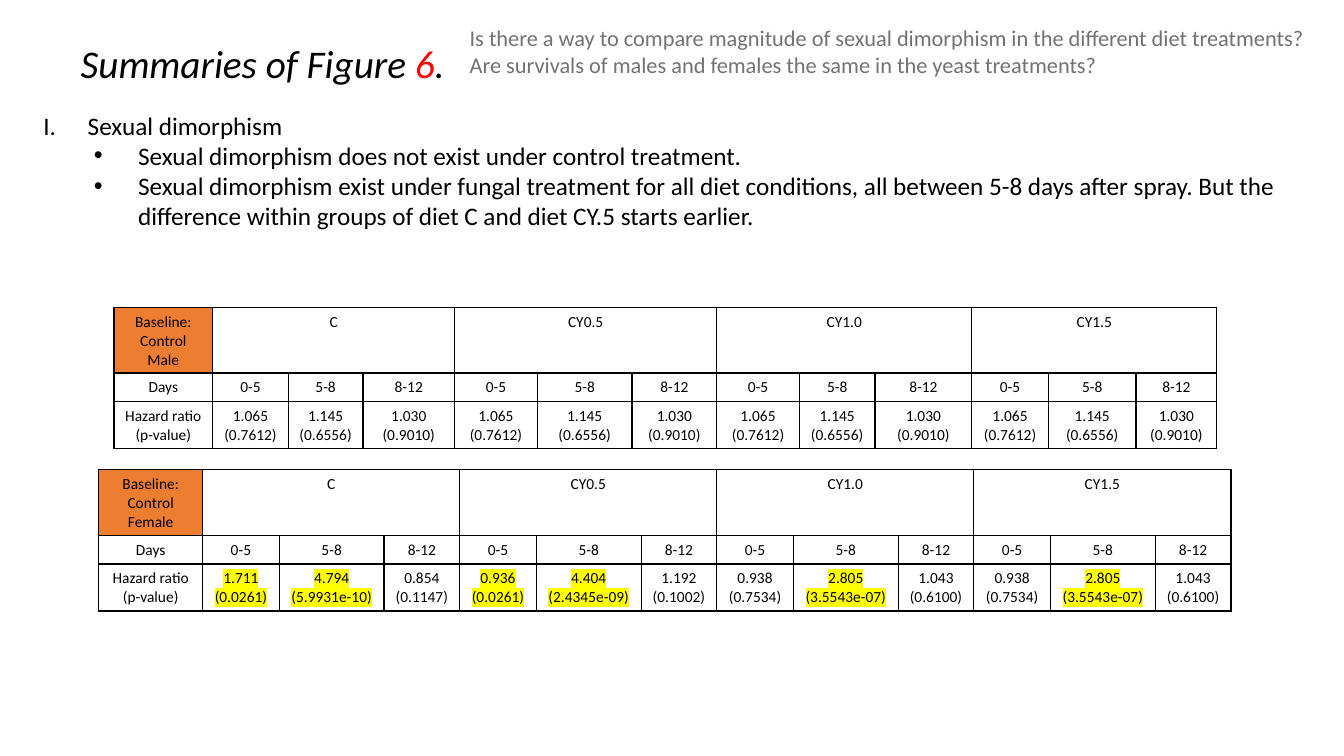
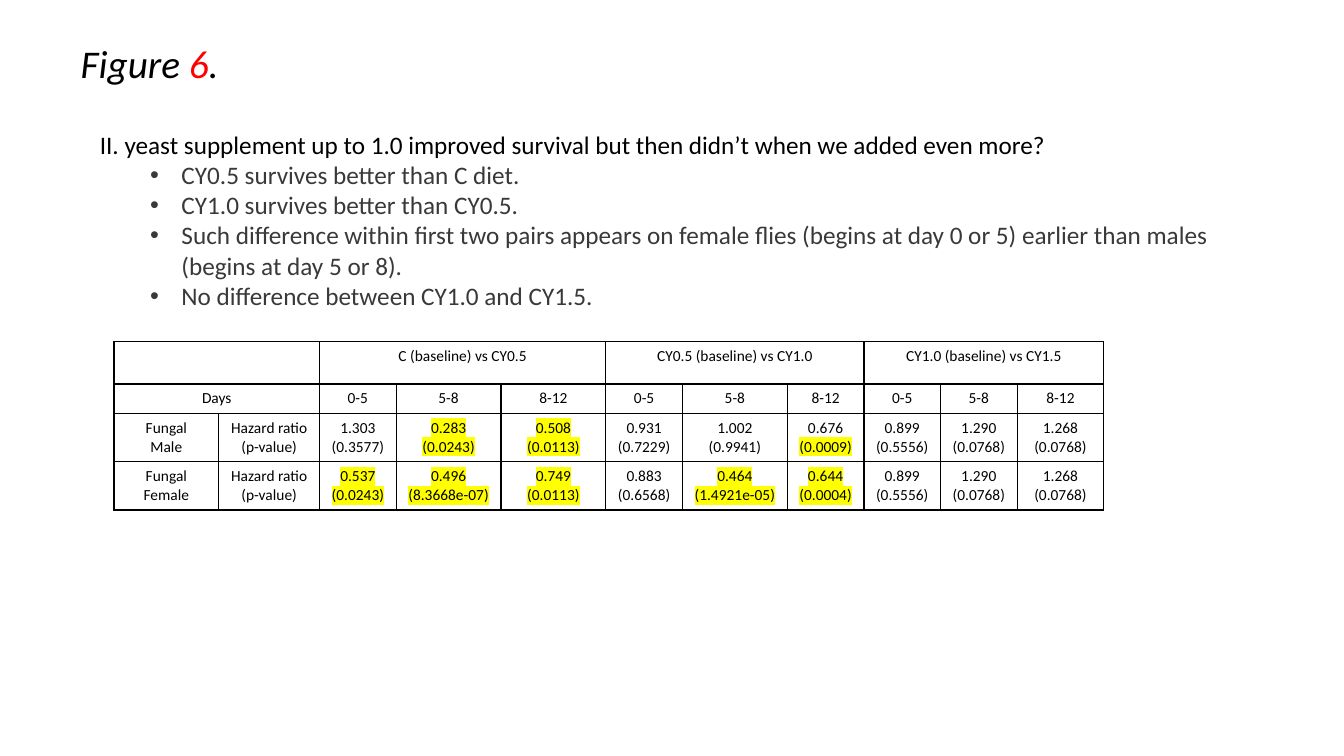
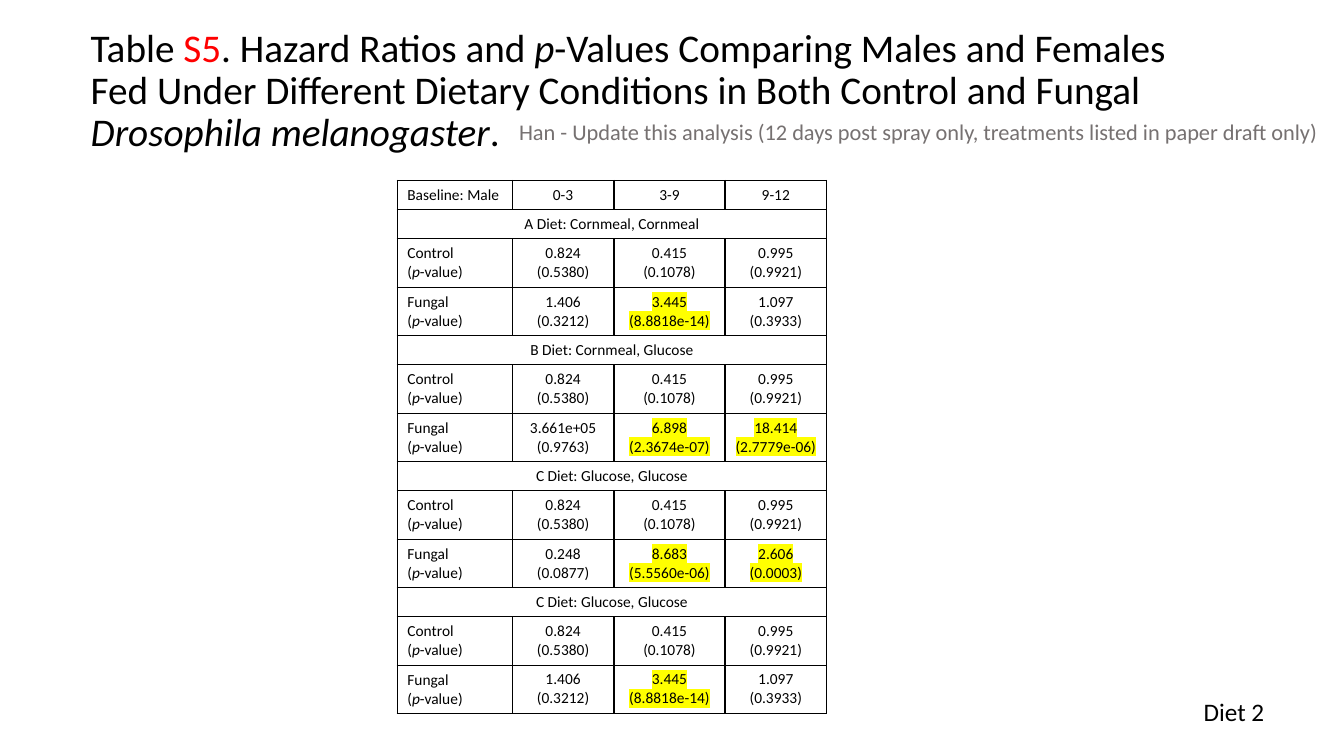
from dataclasses import dataclass
from itertools import cycle
from typing import NamedTuple, Optional

from lxml import etree
from pptx import Presentation
from pptx import util as u
from pptx.dml import color
from pptx.enum import text
from pptx.oxml import ns


@dataclass(frozen=True)
class Theme:
    font: str = "Calibri"
    ink: str = "000000"
    soft_ink: str = "3B3838"
    note_ink: str = "767171"
    accent: str = "FF0000"
    baseline: str = "ED7D31"
    highlight: str = "FFFF00"
    title_size: int = 28
    body_size: int = 18
    note_size: int = 16
    table_size: int = 11
    border: float = 1


class Span(NamedTuple):
    words: str
    ink: str = ""
    italic: bool = False
    marked: bool = False


class Cell(NamedTuple):
    lines: list
    span: int = 1
    fill: Optional[str] = None
    align: text.PP_ALIGN = text.PP_ALIGN.CENTER
    anchor: text.MSO_ANCHOR = text.MSO_ANCHOR.TOP


class Point(NamedTuple):
    words: str
    bullet: str = ""
    level: int = 0
    margin: float = 0
    hang: float = 0
    ink: str = ""


THEME = Theme()
PERIODS = ["0-5", "5-8", "8-12"]
HAZARD_LABEL = Cell(["Hazard ratio", "(p-value)"])
ITALIC_P_LINE = [Span("("), Span("p", italic=True), Span("-value)")]


def child(parent, tag, **attributes):
    return etree.SubElement(parent, ns.qn(tag), attributes)


def write_line(paragraph, spans, size, ink=THEME.ink):
    for span in [Span(spans)] if isinstance(spans, str) else spans:
        run = paragraph.add_run()
        run.text = span.words
        run.font.size = u.Pt(size)
        run.font.italic = span.italic
        run.font.color.rgb = color.RGBColor.from_string(span.ink or ink)
        if span.marked:
            highlight = child(run._r.get_or_add_rPr(), "a:highlight")
            child(highlight, "a:srgbClr", val=THEME.highlight)
        run.font.name = THEME.font


def write_lines(frame, lines, size, ink=THEME.ink, align=text.PP_ALIGN.LEFT):
    for index, line in enumerate(lines):
        paragraph = frame.add_paragraph() if index else frame.paragraphs[0]
        paragraph.alignment = align
        write_line(paragraph, line, size, ink)


def place(shape, left, top, width, height):
    shape.left, shape.top = u.Inches(left), u.Inches(top)
    shape.width, shape.height = u.Inches(width), u.Inches(height)
    shape.text_frame.auto_size = text.MSO_AUTO_SIZE.NONE
    shape.text_frame.vertical_anchor = text.MSO_ANCHOR.TOP


def add_slide(deck, layout, title, left=0.7, top=0.39, height=0.6):
    slide = deck.slides.add_slide(deck.slide_layouts.get_by_name(layout))
    heading = slide.shapes.title
    place(heading, left, top, 11.5, height)
    write_lines(heading.text_frame, [title], THEME.title_size)
    heading.text_frame.paragraphs[0].line_spacing = 0.9
    return slide


def add_points(slide, points, left, top, width, height):
    body = slide.placeholders[1]
    place(body, left, top, width, height)
    frame = body.text_frame
    for index, point in enumerate(points):
        paragraph = frame.add_paragraph() if index else frame.paragraphs[0]
        paragraph.level = point.level
        paragraph.space_before = u.Pt(0)
        write_line(paragraph, point.words, THEME.body_size, point.ink or THEME.ink)
        properties = paragraph._p.get_or_add_pPr()
        properties.set("marL", str(u.Inches(point.margin)))
        properties.set("indent", str(-u.Inches(point.hang)))
        if point.bullet == "roman":
            child(properties, "a:buFont", typeface="+mj-lt")
            child(properties, "a:buAutoNum", type="romanUcPeriod")
        elif point.bullet:
            child(properties, "a:buFont", typeface="Arial")
            child(properties, "a:buChar", char=point.bullet)
        else:
            child(properties, "a:buNone")


def add_note(slide, lines, left, top, width, height, size, ink, wrap=False):
    note = slide.shapes.add_textbox(*map(u.Inches, (left, top, width, height)))
    note.text_frame.word_wrap = wrap
    write_lines(note.text_frame, lines, size, ink)


def outline_cell(cell):
    properties = cell._tc.get_or_add_tcPr()
    for index, side in enumerate("LRTB"):
        line = etree.Element(ns.qn(f"a:ln{side}"), w=str(u.Pt(THEME.border)))
        child(child(line, "a:solidFill"), "a:srgbClr", val=THEME.ink)
        properties.insert(index, line)


def fill_cell(cell, content):
    write_lines(cell.text_frame, content.lines, THEME.table_size, align=content.align)
    cell.vertical_anchor = content.anchor
    if content.fill:
        cell.fill.solid()
        cell.fill.fore_color.rgb = color.RGBColor.from_string(content.fill)


def add_grid(slide, left, top, widths, heights, rows):
    box = map(u.Inches, (left, top, sum(widths), sum(heights)))
    table = slide.shapes.add_table(len(rows), len(widths), *box).table
    table.first_row = table.horz_banding = False
    for column, width in zip(table.columns, widths):
        column.width = u.Inches(width)
    for row, height in zip(table.rows, heights):
        row.height = u.Inches(height)
    for cell in table.iter_cells():
        cell.fill.background()
        outline_cell(cell)
    for r, row in enumerate(rows):
        c = 0
        for content in row:
            cell = table.cell(r, c)
            if content.span > 1:
                cell.merge(table.cell(r, c + content.span - 1))
            fill_cell(cell, content)
            c += content.span


def estimate(ratio, p_value, marks=""):
    return Cell([[Span(ratio, marked="r" in marks)],
                 [Span(f"({p_value})", marked="p" in marks)]])


def estimates(listing):
    return [estimate(*entry.split()) for entry in listing.split(",")]


def period_cells(groups):
    return [Cell([period]) for _ in range(groups) for period in PERIODS]


def add_baseline_grid(slide, baseline, left, top, widths, hazards):
    diets = ["C", "CY0.5", "CY1.0", "CY1.5"]
    add_grid(slide, left, top, widths, [0.65, 0.28, 0.46], [
        [Cell([baseline], fill=THEME.baseline)] + [Cell([diet], span=3) for diet in diets],
        [Cell(["Days"])] + period_cells(len(diets)),
        [HAZARD_LABEL] + hazards,
    ])


def figure_title(lead):
    return [Span(lead, italic=True), Span("6", THEME.accent, True), Span(".", italic=True)]


def build_dimorphism(deck):
    slide = add_slide(deck, "Title and Content", figure_title("Summaries of Figure "))
    add_note(slide, [
        "Is there a way to compare magnitude of sexual dimorphism in the different diet treatments?",
        "Are survivals of males and females the same in the yeast treatments?",
    ], 4.56, 0.19, 8.63, 0.64, THEME.note_size, THEME.note_ink, wrap=True)
    findings = [
        "Sexual dimorphism does not exist under control treatment.",
        "Sexual dimorphism exist under fungal treatment for all diet conditions, all between 5-8 days "
        "after spray. But the difference within groups of diet C and diet CY.5 starts earlier.",
    ]
    add_points(slide, [Point("Sexual dimorphism", "roman", 0, 0.44, 0.44)]
               + [Point(finding, "•", 1, 0.94, 0.44) for finding in findings],
               0.33, 1.04, 12.68, 1.62)
    add_baseline_grid(
        slide, "Baseline: Control Male", 1.13, 3.05,
        [0.98, 0.75, 0.74, 0.91, 0.82, 0.94, 0.84, 0.82, 0.75, 0.96, 0.76, 0.87, 0.8],
        estimates("1.065 0.7612, 1.145 0.6556, 1.030 0.9010") * 4)
    add_baseline_grid(
        slide, "Baseline: Control Female", 0.98, 4.66,
        [1.03] + [0.76, 1.04, 0.75] * 4,
        estimates("1.711 0.0261 rp, 4.794 5.9931e-10 rp, 0.854 0.1147,"
                  "0.936 0.0261 rp, 4.404 2.4345e-09 rp, 1.192 0.1002")
        + estimates("0.938 0.7534, 2.805 3.5543e-07 rp, 1.043 0.6100") * 2)


def build_yeast(deck):
    slide = add_slide(deck, "Title and Content", figure_title("Figure "))
    findings = [
        "CY0.5 survives better than C diet.",
        "CY1.0 survives better than CY0.5.",
        "Such difference within first two pairs appears on female flies (begins at day 0 or 5) "
        "earlier than males (begins at day 5 or 8).",
        "No difference between CY1.0 and CY1.5.",
    ]
    add_points(slide, [Point("II. yeast supplement up to 1.0 improved survival but then didn’t "
                             "when we added even more?")]
               + [Point(finding, "•", 1, 0.81, 0.31, THEME.soft_ink) for finding in findings],
               0.89, 1.23, 11.55, 2)
    pairs = ["C (baseline) vs CY0.5", "CY0.5 (baseline) vs CY1.0", "CY1.0 (baseline) vs CY1.5"]
    unchanged = estimates("0.899 0.5556, 1.290 0.0768, 1.268 0.0768")
    male = estimates("1.303 0.3577, 0.283 0.0243 rp, 0.508 0.0113 rp,"
                     "0.931 0.7229, 1.002 0.9941, 0.676 0.0009 p")
    female = estimates("0.537 0.0243 rp, 0.496 8.3668e-07 rp, 0.749 0.0113 rp,"
                       "0.883 0.6568, 0.464 1.4921e-05 rp, 0.644 0.0004 rp")
    add_grid(slide, 1.13, 3.39,
             [1.04, 1, 0.76, 1.04, 1.04, 0.76, 1.04, 0.76, 0.76, 0.76, 0.86],
             [0.42, 0.29, 0.48, 0.48], [
                 [Cell([], span=2)] + [Cell([pair], span=3) for pair in pairs],
                 [Cell(["Days"], span=2)] + period_cells(len(pairs)),
                 [Cell(["Fungal", "Male"]), HAZARD_LABEL] + male + unchanged,
                 [Cell(["Fungal Female"]), HAZARD_LABEL] + female + unchanged,
             ])


def build_diets(deck):
    title = [
        Span("Table "), Span("S5", THEME.accent), Span(". Hazard Ratios and "),
        Span("p", italic=True),
        Span("-Values Comparing Males and Females Fed Under Different Dietary Conditions "
             "in Both Control and Fungal "),
        Span("Drosophila melanogaster", italic=True), Span("."),
    ]
    slide = add_slide(deck, "Title Only", title, 0.8, 0.23, 1.4)
    middle, bottom = text.MSO_ANCHOR.MIDDLE, text.MSO_ANCHOR.BOTTOM
    left = text.PP_ALIGN.LEFT
    control = estimates("0.824 0.5380, 0.415 0.1078, 0.995 0.9921")
    cornmeal = "1.406 0.3212, 3.445 8.8818e-14 rp, 1.097 0.3933"
    diets = [
        ("A Diet: Cornmeal, Cornmeal", cornmeal),
        ("B Diet: Cornmeal, Glucose", "3.661e+05 0.9763, 6.898 2.3674e-07 rp, 18.414 2.7779e-06 rp"),
        ("C Diet: Glucose, Glucose", "0.248 0.0877, 8.683 5.5560e-06 rp, 2.606 0.0003 rp"),
        ("C Diet: Glucose, Glucose", cornmeal),
    ]
    rows = [[Cell(["Baseline: Male"], align=left, anchor=middle)]
            + [Cell([period], anchor=bottom) for period in ("0-3", "3-9", "9-12")]]
    for diet, fungal in diets:
        rows.append([Cell([diet], span=4, anchor=middle)])
        for treatment, hazards in (("Control", control), ("Fungal", estimates(fungal))):
            label = Cell([treatment, ITALIC_P_LINE], align=left, anchor=middle)
            rows.append([label] + hazards)
    heights = [0.29] + [height for height, _ in zip(cycle([0.29, 0.48, 0.48]), rows[1:])]
    add_grid(slide, 3.94, 1.79, [1.14, 1.01, 1.1, 1.01], heights, rows)
    add_note(slide, ["Han - Update this analysis (12 days post spray only, "
                     "treatments listed in paper draft only)"],
             5.05, 1.12, 8.22, 0.37, THEME.note_size, THEME.note_ink)
    add_note(slide, ["Diet 2"], 11.84, 6.86, 0.81, 0.4, THEME.body_size, THEME.ink)


def main():
    deck = Presentation()
    deck.slide_width, deck.slide_height = u.Inches(13.33), u.Inches(7.5)
    build_dimorphism(deck)
    build_yeast(deck)
    build_diets(deck)
    deck.save("out.pptx")


if __name__ == "__main__":
    main()
